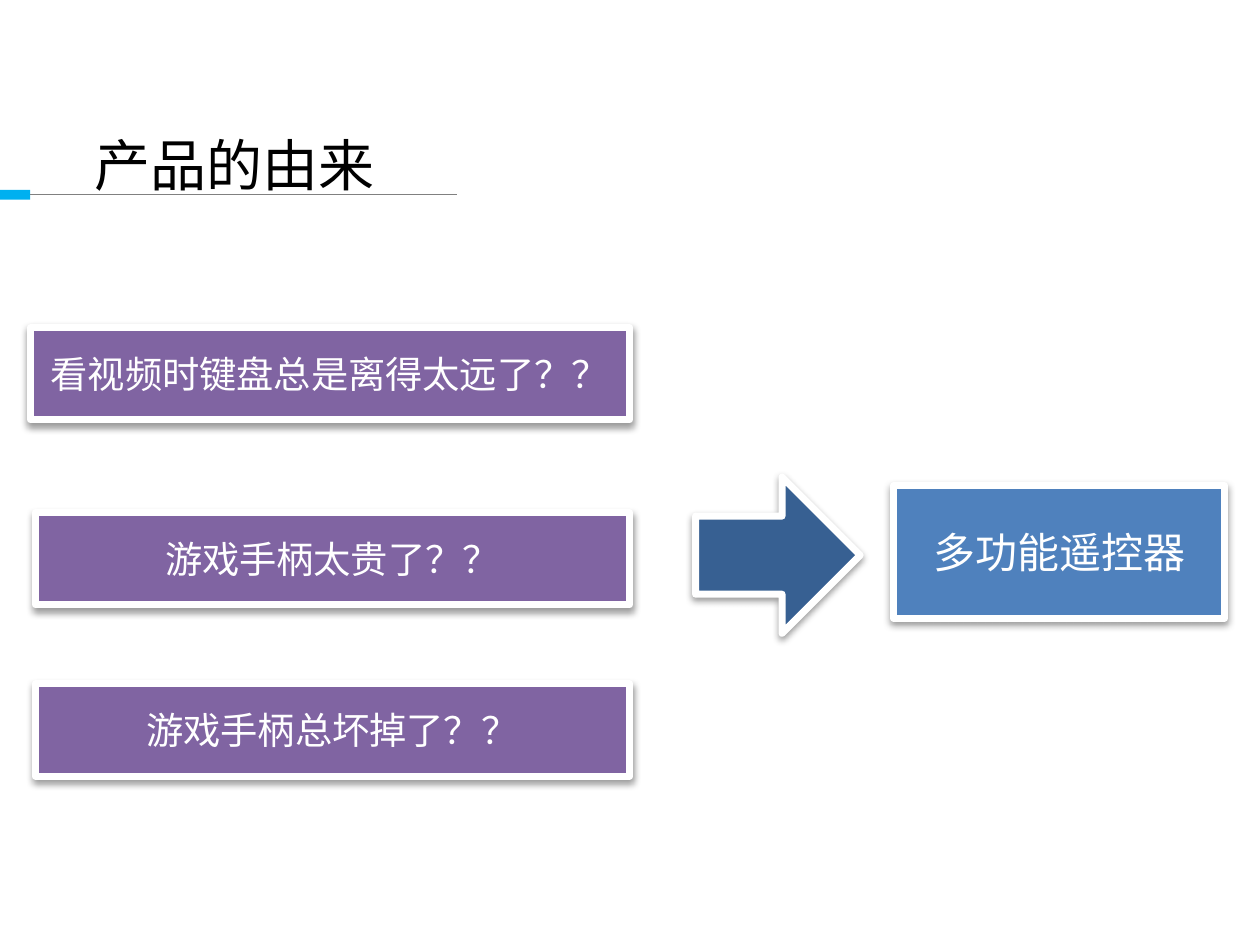
from lxml.etree import SubElement
from pptx import Presentation
from pptx.dml.color import RGBColor
from pptx.enum.shapes import MSO_CONNECTOR, MSO_SHAPE
from pptx.enum.text import MSO_ANCHOR, MSO_AUTO_SIZE, PP_ALIGN
from pptx.oxml.ns import qn
from pptx.util import Inches, Pt

TITLE = "产品的由来"
PROBLEMS = [
    ("看视频时键盘总是离得太远了？？", 0.18, 1.95),
    ("游戏手柄太贵了？？", 0.21, 3.05),
    ("游戏手柄总坏掉了？？", 0.21, 4.07),
]
PROBLEM_RIGHT, PROBLEM_HEIGHT = 3.75, 0.55
ARROW_AREA = (4.14, 2.84, 0.98, 0.93)
ANSWER = "多功能遥控器"
ANSWER_AREA = (5.32, 2.89, 1.97, 0.79)
TITLE_AREA = (0.46, 0.86, 2.1, 0.37)
MARK_AREA = (0, 1.13, 0.18, 0.06)
RULE_RIGHT, RULE_Y = 2.72, 1.16

THEME = {
    "font": "Noto Sans CJK SC",
    "ink": "000000",
    "paper": "FFFFFF",
    "mark": "00B0F0",
    "rule": "808080",
    "problem": "8064A2",
    "arrow": "376092",
    "answer": "4F81BD",
    "title_size": 24,
    "problem_size": 16,
    "answer_size": 18,
}


def color(name):
    return RGBColor.from_string(THEME[name])


def write(shape, text, size, ink="paper", align=PP_ALIGN.CENTER,
          anchor=MSO_ANCHOR.MIDDLE, spacing=None):
    frame = shape.text_frame
    frame.word_wrap = True
    frame.vertical_anchor = anchor
    para = frame.paragraphs[0]
    para.alignment = align
    if spacing:
        para.line_spacing = Pt(spacing)
    span = para.add_run()
    span.text = text
    span.font.size = Pt(THEME[size])
    span.font.name = THEME["font"]
    span.font.color.rgb = color(ink)
    east_asian = SubElement(span.font._element, qn("a:ea"))
    east_asian.set("typeface", THEME["font"])


def add_block(page, kind, area, fill):
    block = page.shapes.add_shape(kind, *map(Inches, area))
    block.fill.solid()
    block.fill.fore_color.rgb = color(fill)
    block.line.fill.background()
    block.shadow.inherit = False
    return block


def add_card(page, kind, area, fill):
    card = add_block(page, kind, area, fill)
    card.line.color.rgb = color("paper")
    card.line.width = Pt(3)
    effects = card._element.spPr.find(qn("a:effectLst"))
    shadow = SubElement(effects, qn("a:outerShdw"), blurRad=str(Pt(3.1)),
                        dist=str(Pt(1.6)), dir="5400000", rotWithShape="0")
    shade = SubElement(shadow, qn("a:srgbClr"), val=THEME["ink"])
    SubElement(shade, qn("a:alpha"), val="38000")
    return card


def add_heading(page):
    title = page.shapes.title
    title.left, title.top, title.width, title.height = map(Inches, TITLE_AREA)
    write(title, TITLE, "title_size", ink="ink", align=PP_ALIGN.LEFT,
          anchor=MSO_ANCHOR.TOP, spacing=19.2)
    title.text_frame.auto_size = MSO_AUTO_SIZE.SHAPE_TO_FIT_TEXT
    mark = add_block(page, MSO_SHAPE.RECTANGLE, MARK_AREA, "mark")
    rule = page.shapes.add_connector(
        MSO_CONNECTOR.STRAIGHT, Inches(RULE_RIGHT), Inches(RULE_Y),
        mark.left + mark.width, Inches(RULE_Y))
    rule.end_connect(mark, 3)
    rule.line.color.rgb = color("rule")
    rule.line.width = Pt(0.5)
    SubElement(rule._element.spPr, qn("a:effectLst"))


def main():
    deck = Presentation()
    deck.slide_width = Inches(7.5)
    deck.slide_height = deck.slide_width * 3 // 4
    page = deck.slides.add_slide(deck.slide_layouts[5])
    add_heading(page)
    for text, left, top in PROBLEMS:
        area = (left, top, PROBLEM_RIGHT - left, PROBLEM_HEIGHT)
        card = add_card(page, MSO_SHAPE.RECTANGLE, area, "problem")
        write(card, text, "problem_size")
    add_card(page, MSO_SHAPE.RIGHT_ARROW, ARROW_AREA, "arrow")
    answer = add_card(page, MSO_SHAPE.RECTANGLE, ANSWER_AREA, "answer")
    write(answer, ANSWER, "answer_size")
    deck.save("out.pptx")


if __name__ == "__main__":
    main()
